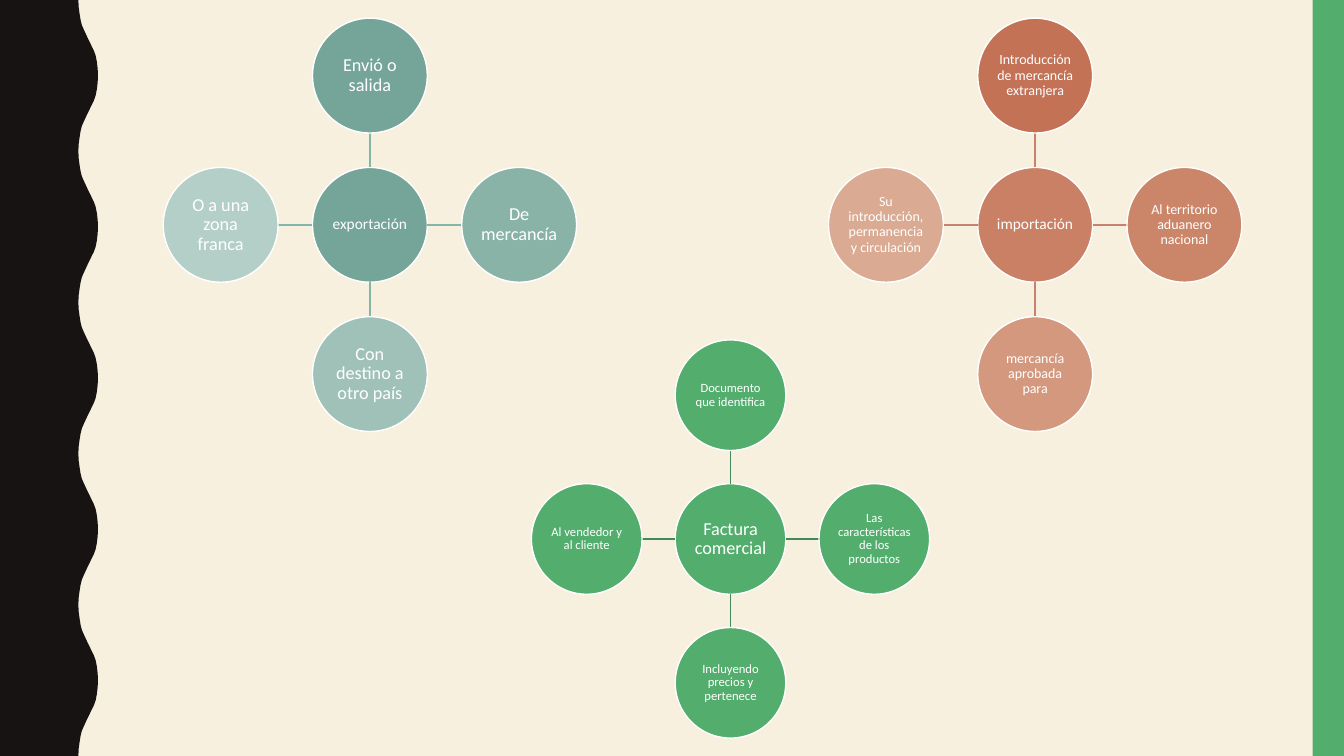
from dataclasses import dataclass

from lxml import etree
from pptx import Presentation
from pptx.dml.color import RGBColor
from pptx.enum.shapes import MSO_CONNECTOR, MSO_SHAPE
from pptx.enum.text import MSO_ANCHOR, PP_ALIGN
from pptx.oxml.ns import qn
from pptx.util import Pt

OVAL, RECT = MSO_SHAPE.OVAL, MSO_SHAPE.RECTANGLE
LINE = MSO_CONNECTOR.STRAIGHT
CENTER, MIDDLE = PP_ALIGN.CENTER, MSO_ANCHOR.MIDDLE


@dataclass(frozen=True)
class Theme:
    font: str = "Calibri"
    paper: str = "F7F0DF"
    ink: str = "171312"
    white: str = "FFFFFF"
    green: str = "53AE6E"
    moss: str = "428B58"
    teal: str = "75A498"
    mint: str = "83B6A9"
    rust: str = "BF6546"
    clay: str = "C7816E"
    large: int = 13
    mid: int = 11
    small: int = 10
    tiny: int = 9


@dataclass(frozen=True)
class Node:
    text: str
    size: int
    fill: str
    alpha: int = 100  # opacity in percent


@dataclass(frozen=True)
class Hub:
    x: float
    y: float
    size: float
    line: str
    core: Node
    arms: tuple[Node, ...]  # top, right, bottom, left


THEME = Theme()
WIDE, HIGH = 960, 540
BAR = 22.4
STEP = 1.3  # distance between circle centres, in diameters
SIDES = ((0, -1), (1, 0), (0, 1), (-1, 0))

# Half a wave of the left edge, from trough to crest
WAVE = (
    (56, 0), (56.2, 5), (56.9, 10), (57.6, 14.4), (58.5, 18),
    (59.8, 21), (61.2, 24), (62.6, 27), (64.1, 30), (65.5, 33),
    (67, 36), (68.3, 39.6), (69.2, 44), (69.8, 49), (70, 54),
)
CYCLE = 108

HUBS = (
    Hub(264.2, 160.6, 82, THEME.mint,
        Node("exportación", THEME.mid, THEME.teal),
        (Node("Envió o salida", THEME.large, THEME.teal),
         Node("De mercancía", THEME.large, "8AB3A8"),
         Node("Con destino a otro país", THEME.large, "9FC1B8"),
         Node("O a una zona franca", THEME.large, "B4CFC8"))),
    Hub(739.4, 160.6, 82, THEME.clay,
        Node("importación", THEME.mid, THEME.rust, 80),
        (Node("Introducción de mercancía extranjera",
              THEME.small, THEME.rust, 90),
         Node("Al territorio aduanero nacional",
              THEME.small, THEME.rust, 77),
         Node("mercancía aprobada para", THEME.small, THEME.rust, 63),
         Node("Su introducción, permanencia y circulación",
              THEME.small, THEME.rust, 50))),
    Hub(521.8, 385, 79, THEME.moss,
        Node("Factura comercial", THEME.large, THEME.green),
        (Node("Documento que identifica", THEME.tiny, THEME.green),
         Node("Las características de los productos",
              THEME.tiny, THEME.green),
         Node("Incluyendo precios y pertenece", THEME.tiny, THEME.green),
         Node("Al vendedor y al cliente", THEME.tiny, THEME.green))),
)


def paint(shape, color: str) -> None:
    shape.shadow.inherit = False
    shape.fill.solid()
    shape.fill.fore_color.rgb = RGBColor.from_string(color)


def draw_wave(shapes) -> None:
    back = [(x, CYCLE - y) for x, y in reversed(WAVE[:-1])]
    edge = [(x, y + CYCLE * turn) for turn in range(HIGH // CYCLE)
            for x, y in [*WAVE, *back]]
    form = shapes.build_freeform(0, 0, scale=1.0)
    form.add_line_segments(
        [(Pt(x), Pt(y)) for x, y in [*edge, (0, HIGH)]], close=True)
    wave = form.convert_to_shape()
    paint(wave, THEME.ink)
    wave.line.fill.background()


def draw_bar(shapes) -> None:
    bar = shapes.add_shape(RECT, Pt(WIDE - BAR), 0, Pt(BAR), Pt(HIGH))
    paint(bar, THEME.green)
    bar.line.fill.background()


def draw_node(shapes, node: Node, x: float, y: float, size: float) -> None:
    disc = shapes.add_shape(
        OVAL, Pt(x - size / 2), Pt(y - size / 2), Pt(size), Pt(size))
    paint(disc, node.fill)
    if node.alpha < 100:
        color = disc._element.spPr.find(".//" + qn("a:srgbClr"))
        etree.SubElement(color, qn("a:alpha"), val=str(node.alpha * 1000))
    disc.line.color.rgb = RGBColor.from_string(THEME.white)
    disc.line.width = Pt(1)

    frame = disc.text_frame
    frame.text = node.text
    frame.word_wrap = True
    frame.vertical_anchor = MIDDLE
    frame.margin_left = frame.margin_right = Pt(0.7)
    frame.margin_top = frame.margin_bottom = Pt(0.7)
    para = frame.paragraphs[0]
    para.alignment = CENTER
    para.line_spacing = 0.9
    font = para.runs[0].font
    font.name = THEME.font
    font.size = Pt(node.size)
    font.color.rgb = RGBColor.from_string(THEME.white)


def draw_link(shapes, hub: Hub, dx: int, dy: int) -> None:
    near, far = hub.size / 2, hub.size * (STEP - 0.5)
    link = shapes.add_connector(
        LINE, Pt(hub.x + dx * near), Pt(hub.y + dy * near),
        Pt(hub.x + dx * far), Pt(hub.y + dy * far))
    link.line.color.rgb = RGBColor.from_string(hub.line)
    link.line.width = Pt(1)
    etree.SubElement(link._element.spPr, qn("a:effectLst"))


def draw_hub(shapes, hub: Hub) -> None:
    parts = shapes.add_group_shape().shapes
    draw_node(parts, hub.core, hub.x, hub.y, hub.size)
    gap = hub.size * STEP
    for node, (dx, dy) in zip(hub.arms, SIDES):
        draw_link(parts, hub, dx, dy)
        draw_node(parts, node, hub.x + dx * gap, hub.y + dy * gap, hub.size)


def main() -> None:
    deck = Presentation()
    deck.slide_width, deck.slide_height = Pt(WIDE), Pt(HIGH)
    slide = deck.slides.add_slide(deck.slide_layouts[6])

    # Backdrop
    slide.background.fill.solid()
    slide.background.fill.fore_color.rgb = RGBColor.from_string(THEME.paper)
    draw_wave(slide.shapes)
    draw_bar(slide.shapes)

    # Radial diagrams
    for hub in HUBS:
        draw_hub(slide.shapes, hub)

    deck.save("out.pptx")


if __name__ == "__main__":
    main()
